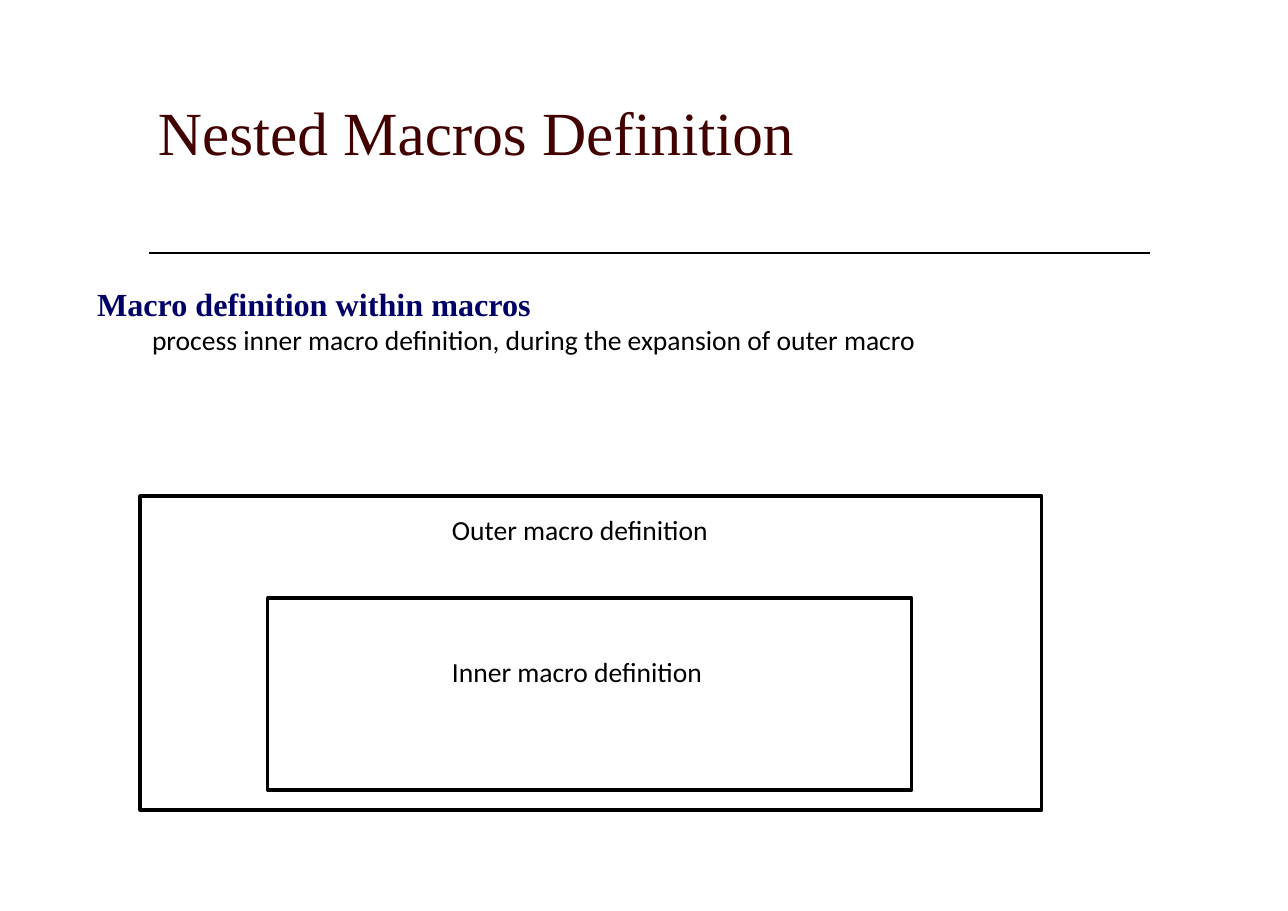
from pptx import Presentation
from pptx.dml.color import RGBColor
from pptx.enum.shapes import MSO_CONNECTOR, MSO_SHAPE
from pptx.oxml.ns import qn
from pptx.util import Pt
from lxml import etree

STRAIGHT = MSO_CONNECTOR.STRAIGHT
RECTANGLE = MSO_SHAPE.RECTANGLE

EMU_PER_PX = 8290
BLANK_LAYOUT = 6
SERIF, SANS = "Times New Roman", "Calibri"
BLACK, WHITE, MAROON, NAVY = "000000", "FFFFFF", "420000", "000066"


def px(length):
    return length * EMU_PER_PX


def color(hex_string):
    return RGBColor.from_string(hex_string)


class MacroSlide:
    def __init__(self, deck):
        self.page = deck.slides.add_slide(deck.slide_layouts[BLANK_LAYOUT])
        fill = self.page.background.fill
        fill.solid()
        fill.fore_color.rgb = color(WHITE)

    def rule(self, left, right, y, width):
        line = self.page.shapes.add_connector(STRAIGHT, px(left), px(y), px(right), px(y))
        line.line.color.rgb = color(BLACK)
        line.line.width = Pt(width)
        etree.SubElement(line._element.spPr, qn("a:effectLst"))

    def frame(self, left, top, width, height):
        box = self.page.shapes.add_shape(RECTANGLE, px(left), px(top), px(width), px(height))
        box.shadow.inherit = False
        box.fill.solid()
        box.fill.fore_color.rgb = color(WHITE)
        box.line.color.rgb = color(BLACK)
        box.line.width = Pt(2)

    def text(self, left, top, width, height, lines):
        """Each line is (wording, size, font, colour, bold, indent in px)."""
        box = self.page.shapes.add_textbox(px(left), px(top), px(width), px(height))
        frame = box.text_frame
        frame.word_wrap = True
        frame.margin_left = frame.margin_right = 0
        frame.margin_top = frame.margin_bottom = 0
        frame.text = "\n".join(line[0] for line in lines)
        for para, (_, size, font, hue, bold, indent) in zip(frame.paragraphs, lines):
            if indent:
                properties = para._p.get_or_add_pPr()
                properties.set("marL", str(px(indent)))
                properties.set("indent", "0")
            for span in para.runs:
                span.font.size = Pt(size)
                span.font.name = font
                span.font.bold = bold
                span.font.color.rgb = color(hue)


def main():
    deck = Presentation()
    deck.slide_width, deck.slide_height = px(1288), px(911)
    slide = MacroSlide(deck)

    slide.rule(149, 1150, 253, 0.96)
    slide.text(158, 94, 972, 74, [
        ("Nested Macros Definition", 40, SERIF, MAROON, False, 0),
    ])
    slide.text(97, 284, 1095, 72, [
        ("Macro definition within macros", 21, SERIF, NAVY, True, 0),
        ("process inner macro definition, during the expansion of outer macro",
         18, SANS, BLACK, False, 55),
    ])

    slide.frame(140, 496, 902, 314)
    slide.frame(268, 598, 644, 192)
    for label, top in (("Outer macro definition", 513), ("Inner macro definition", 655)):
        slide.text(452, top, 440, 34, [(label, 18, SANS, BLACK, False, 0)])

    deck.save("out.pptx")


if __name__ == "__main__":
    main()
